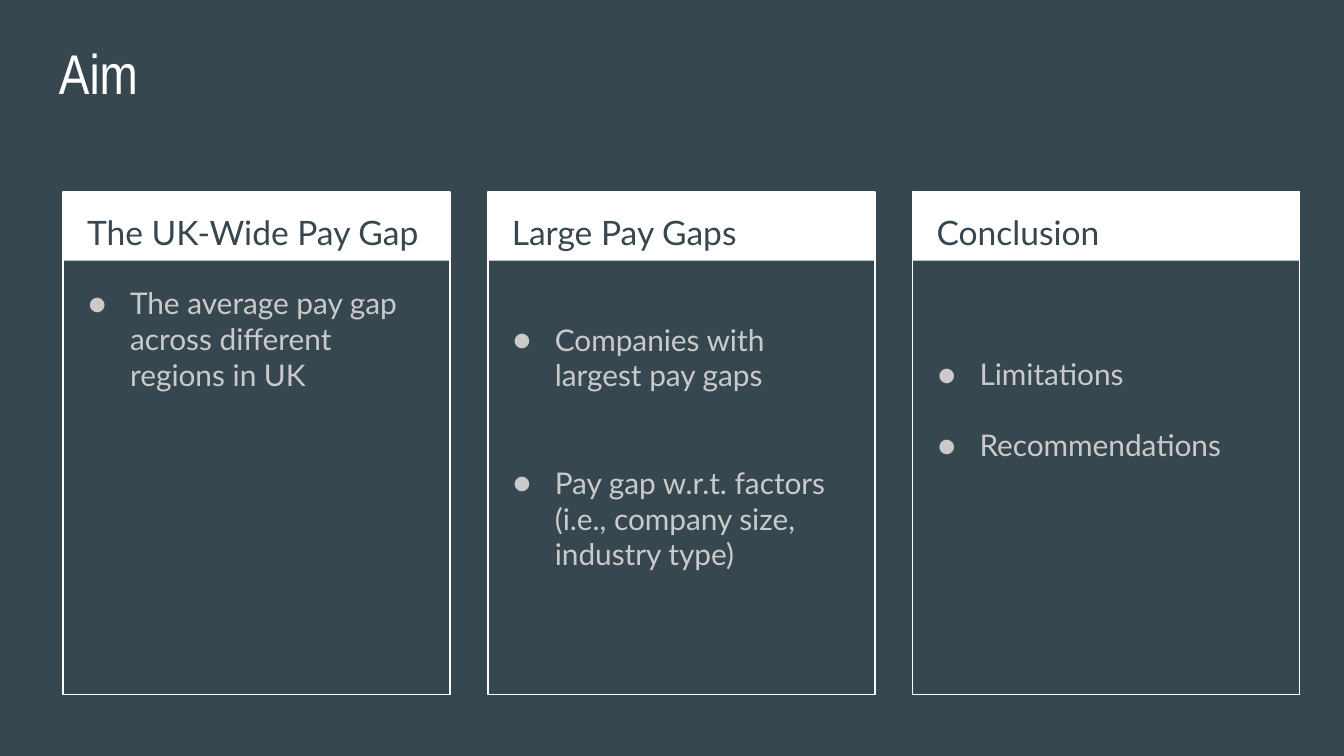
from dataclasses import dataclass

from lxml import etree
from pptx import Presentation
from pptx.dml.color import RGBColor
from pptx.enum.shapes import MSO_SHAPE
from pptx.enum.text import MSO_ANCHOR
from pptx.oxml.ns import qn
from pptx.util import Inches, Pt

RECTANGLE = MSO_SHAPE.RECTANGLE
TOP = MSO_ANCHOR.TOP
SLATE = RGBColor(0x37, 0x47, 0x4F)
WHITE = RGBColor(0xFF, 0xFF, 0xFF)
LIGHT_GRAY = RGBColor(0xCA, 0xCA, 0xCA)
BODY_FONT, TITLE_FONT = "Lato", "Arial Narrow"

SLIDE_WIDTH = 10
SLIDE_HEIGHT = SLIDE_WIDTH * 9 / 16
CARD_LEFT, CARD_STEP, CARD_TOP = 0.47, 3.16, 1.43
CARD_WIDTH, CARD_HEIGHT, HEADER_HEIGHT = 2.88, 3.74, 0.51
INSET, BULLET_INDENT = 0.1, 0.31


@dataclass
class Card:
    heading: str
    bullets: list[str]
    body_inset: float = INSET
    gap: float = 0
    line_spacing: float = 1.0


CARDS = [
    Card("The UK-Wide Pay Gap",
         ["The average pay gap across different regions in UK"]),
    Card("Large Pay Gaps",
         ["Companies with largest pay gaps",
          "Pay gap w.r.t. factors (i.e., company size, industry type)"],
         body_inset=0.37, gap=38.4),
    Card("Conclusion", ["Limitations", "Recommendations"],
         body_inset=0.59, gap=16, line_spacing=1.15),
]


def add_bullet(paragraph, color: RGBColor) -> None:
    properties = paragraph._p.get_or_add_pPr()
    properties.set("marL", str(Inches(BULLET_INDENT)))
    properties.set("indent", str(-Inches(BULLET_INDENT)))
    bullet_color = etree.SubElement(properties, qn("a:buClr"))
    etree.SubElement(bullet_color, qn("a:srgbClr"), val=str(color))
    etree.SubElement(properties, qn("a:buFont"), typeface=BODY_FONT)
    etree.SubElement(properties, qn("a:buChar"), char="●")


def add_text(slide, left: float, top: float, width: float, height: float,
             lines: list[str], *, size: float, color: RGBColor,
             font: str = BODY_FONT, bulleted: bool = False, gap: float = 0,
             line_spacing: float = 1.0, top_inset: float = INSET) -> None:
    box = slide.shapes.add_textbox(
        Inches(left), Inches(top), Inches(width), Inches(height))
    frame = box.text_frame
    frame.word_wrap = True
    frame.vertical_anchor = TOP
    frame.margin_left = frame.margin_right = frame.margin_bottom = Inches(INSET)
    frame.margin_top = Inches(top_inset)
    for index, line in enumerate(lines):
        paragraph = frame.add_paragraph() if index else frame.paragraphs[0]
        if bulleted:
            add_bullet(paragraph, color)
        paragraph.line_spacing = line_spacing
        if index:
            paragraph.space_before = Pt(gap)
        run = paragraph.add_run()
        run.text = line
        run.font.name = font
        run.font.size = Pt(size)
        run.font.color.rgb = color


def add_rectangle(slide, left: float, height: float, filled: bool) -> None:
    """Draw a card part: a filled header band or an outlined frame."""
    shape = slide.shapes.add_shape(
        RECTANGLE, Inches(left), Inches(CARD_TOP),
        Inches(CARD_WIDTH), Inches(height))
    shape.shadow.inherit = False
    if filled:
        shape.fill.solid()
        shape.fill.fore_color.rgb = WHITE
        shape.line.fill.background()
    else:
        shape.fill.background()
        shape.line.color.rgb = WHITE
        shape.line.width = Pt(0.75)


def add_card(slide, left: float, card: Card) -> None:
    add_rectangle(slide, left, HEADER_HEIGHT, filled=True)
    add_rectangle(slide, left, CARD_HEIGHT, filled=False)
    add_text(slide, left + 0.08, CARD_TOP, 2.73, 0.5, [card.heading],
             size=18, color=SLATE, line_spacing=1.15)
    add_text(slide, left + 0.09, 2.02, 2.71, 3.06, card.bullets,
             size=16, color=LIGHT_GRAY, bulleted=True, gap=card.gap,
             line_spacing=card.line_spacing, top_inset=card.body_inset)


def main() -> None:
    presentation = Presentation()
    presentation.slide_width = Inches(SLIDE_WIDTH)
    presentation.slide_height = Inches(SLIDE_HEIGHT)
    slide = presentation.slides.add_slide(presentation.slide_layouts[6])
    slide.background.fill.solid()
    slide.background.fill.fore_color.rgb = SLATE
    add_text(slide, 0.34, 0.19, 9.32, 0.63, ["Aim"],
             size=30, color=WHITE, font=TITLE_FONT)
    for index, card in enumerate(CARDS):
        add_card(slide, CARD_LEFT + index * CARD_STEP, card)
    presentation.save("out.pptx")


if __name__ == "__main__":
    main()
